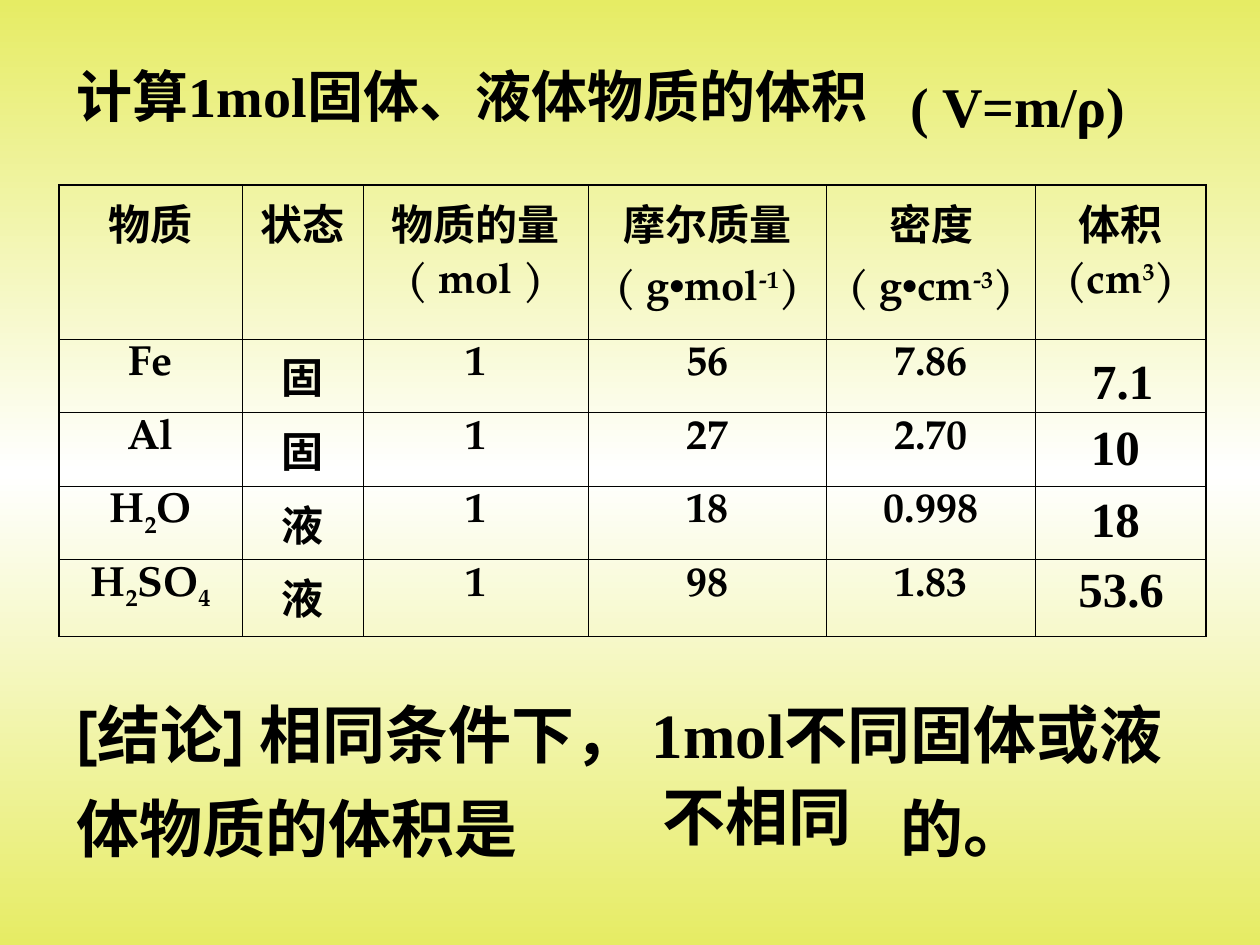
from copy import deepcopy

from lxml.etree import SubElement
from pptx import Presentation
from pptx.dml.color import RGBColor
from pptx.enum.text import MSO_AUTO_SIZE, PP_ALIGN
from pptx.oxml.ns import qn
from pptx.util import Inches, Pt

COLORS = {"edge": "E6EC64", "middle": "FFFFFF", "ink": "000000"}
SERIF, SANS, TABLE_FONT, SYMBOL = "Times New Roman", "Cabin", "TeX Gyre Pagella", "Arial"
SUPERSCRIPT, SUBSCRIPT = 30, -25
COLUMN_WIDTHS = [1.45, 0.96, 1.79, 1.89, 1.66, 1.35]
ROW_HEIGHTS = [1.22, 0.55, 0.57, 0.57, 0.61]


def unit(symbol, power):
    """Return the runs of a bracketed unit with a raised power."""
    return [("( g",), ("•", SYMBOL), (symbol,), (power, TABLE_FONT, SUPERSCRIPT), (")",)]


def formula(*parts):
    """Return runs in which every second part is lowered."""
    return [(part, TABLE_FONT, SUBSCRIPT * (index % 2)) for index, part in enumerate(parts)]


HEADERS = [
    ["物质"],
    ["状态"],
    ["物质的量", [("( mol )",)]],
    ["摩尔质量", unit("mol", "-1")],
    ["密度", unit("cm", "-3")],
    ["体积", [("(cm",), ("3", TABLE_FONT, SUPERSCRIPT), (")",)]],
]
SUBSTANCES = [
    [formula("Fe"), "固", "1", "56", "7.86"],
    [formula("Al"), "固", "1", "27", "2.70"],
    [formula("H", "2", "O"), "液", "1", "18", "0.998"],
    [formula("H", "2", "SO", "4"), "液", "1", "98", "1.83"],
]
VOLUMES = [("7.1", 8.57, 2.73, 1), ("10", 8.56, 3.26, 1.08),
           ("18", 8.56, 3.83, 1.08), ("53.6", 8.46, 4.38, 1.42)]


def add_run(paragraph, size, text, font=TABLE_FONT, baseline=0, underline=False):
    """Add one bold run to a paragraph."""
    run = paragraph.add_run()
    run.text = text
    run.font.name = font
    run.font.size = Pt(size)
    run.font.bold = True
    run.font.color.rgb = RGBColor.from_string(COLORS["ink"])
    if underline:
        run.font.underline = True
    if baseline:
        run.font._element.set("baseline", str(baseline * 1000))


def add_text(slide, box, size, runs, wrap=True, line_spacing=None, tab=None):
    """Add a text box with one paragraph and return nothing."""
    shape = slide.shapes.add_textbox(*map(Inches, box))
    frame = shape.text_frame
    frame.word_wrap = wrap
    frame.auto_size = MSO_AUTO_SIZE.SHAPE_TO_FIT_TEXT
    paragraph = frame.paragraphs[0]
    if line_spacing:
        paragraph.line_spacing = line_spacing
    if tab:
        tabs = SubElement(paragraph._p.get_or_add_pPr(), qn("a:tabLst"))
        SubElement(tabs, qn("a:tab"), pos=str(Inches(tab)), algn="l")
    for run in runs:
        add_run(paragraph, size, *run)


def set_borders(cell, widths):
    """Draw the left, right, top and bottom borders of a cell."""
    properties = cell._tc.get_or_add_tcPr()
    for index, (side, width) in enumerate(zip("LRTB", widths)):
        line = SubElement(properties, qn(f"a:ln{side}"), w=str(Pt(width)))
        fill = SubElement(line, qn("a:solidFill"))
        SubElement(fill, qn("a:srgbClr"), val=COLORS["ink"])
        properties.insert(index, line)


def fill_cell(cell, paragraphs):
    """Write centred paragraphs into a cell."""
    for index, content in enumerate(paragraphs):
        frame = cell.text_frame
        paragraph = frame.add_paragraph() if index else frame.paragraphs[0]
        paragraph.alignment = PP_ALIGN.CENTER
        if index:
            paragraph.space_before = Pt(6)
        for run in [(content,)] if isinstance(content, str) else content:
            add_run(paragraph, 24, *run)


def add_substance_table(slide, left, top):
    """Add the table of substances with thick outer and thin inner borders."""
    rows, columns = len(ROW_HEIGHTS), len(COLUMN_WIDTHS)
    table = slide.shapes.add_table(
        rows, columns, Inches(left), Inches(top),
        Inches(sum(COLUMN_WIDTHS)), Inches(sum(ROW_HEIGHTS))).table
    table.first_row = table.horz_banding = False
    for column, width in zip(table.columns, COLUMN_WIDTHS):
        column.width = Inches(width)
    for row, height in zip(table.rows, ROW_HEIGHTS):
        row.height = Inches(height)
    contents = [HEADERS] + [[[value] for value in row] + [[]] for row in SUBSTANCES]
    for row, values in enumerate(contents):
        for column, paragraphs in enumerate(values):
            cell = table.cell(row, column)
            cell.fill.background()
            outer = (column == 0, column == columns - 1, row == 0, row == rows - 1)
            set_borders(cell, [1.08 if is_outer else 0.45 for is_outer in outer])
            fill_cell(cell, paragraphs)


def add_volumes(slide):
    """Add the calculated volumes over the last column."""
    for text, left, top, width in VOLUMES:
        add_text(slide, (left, top, width, 0.57), 28, [(text, SERIF)])


def add_title(slide, left, top):
    """Add the title and the volume formula beside it."""
    add_text(slide, (left + 6.62, top + 0.08, 1.91, 0.64), 32, [("( V=m/ρ)", SERIF)], wrap=False)
    add_text(slide, (left, top, 6.85, 0.64), 32,
             [("计算", SANS), ("1mol", SERIF), ("固体、液体物质的体积", SANS)])


def add_conclusion(slide, left, top):
    """Add the conclusion with its underlined blank and the answer."""
    runs = [("[结论] 相同条件下， ", SANS), ("1mol", SERIF),
            ("不同固体或液体物质的体积是", SANS), ("\t", SANS, 0, True), ("的。", SANS)]
    add_text(slide, (left, top, 8.89, 1.6), 36, runs, line_spacing=1.25, tab=6.54)
    add_text(slide, (left + 4.65, top + 0.8, 2.56, 0.7), 36, [("不相同", SYMBOL)])


def set_background(slide):
    """Fill the background with a vertical three-stop gradient."""
    fill = slide.background.fill
    fill.gradient()
    fill.gradient_angle = 270
    first = fill.gradient_stops[0]._gs
    first.addnext(deepcopy(first))
    for index, (stop, name) in enumerate(zip(fill.gradient_stops, ["edge", "middle", "edge"])):
        stop.position = index / 2
        stop.color.rgb = RGBColor.from_string(COLORS[name])


def main():
    """Build and save the presentation."""
    presentation = Presentation()
    presentation.slide_width, presentation.slide_height = Inches(10), Inches(7.5)
    slide = presentation.slides.add_slide(presentation.slide_layouts[6])
    set_background(slide)
    add_substance_table(slide, 0.47, 1.47)
    add_volumes(slide)
    add_title(slide, 0.51, 0.44)
    add_conclusion(slide, 0.51, 5.32)
    presentation.save("out.pptx")


if __name__ == "__main__":
    main()
